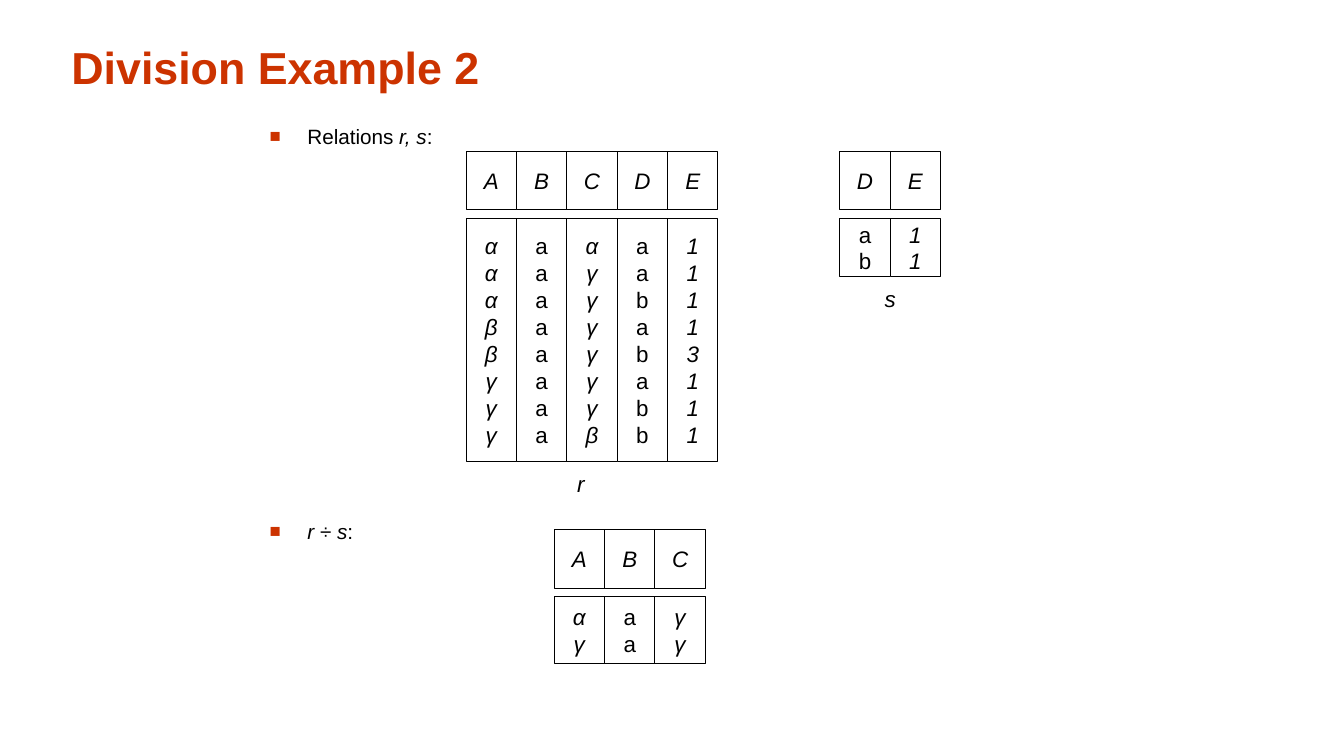
from lxml import etree
from pptx import Presentation, util as u
from pptx.dml.color import RGBColor
from pptx.enum import shapes, text
from pptx.oxml import ns

TITLE = "Division Example 2"
BULLETS = [
    (6.55, 3.0, 5.92, [("Relations ", False), ("r, s", True), (":", False)]),
    (6.55, 12.95, 3.61, [("r ", True), ("÷ ", False), ("s", True), (":", False)]),
]
RELATIONS = [
    {"left": 11.75, "top": 3.81, "body": 6.14,
     "columns": {"A": "αααββγγγ", "B": "aaaaaaaa", "C": "αγγγγγγβ",
                 "D": "aabababb", "E": "11113111"}},
    {"left": 21.17, "top": 3.81, "body": 1.48, "columns": {"D": "ab", "E": "11"}},
    {"left": 13.97, "top": 13.34, "body": 1.69,
     "columns": {"A": "αγ", "B": "aa", "C": "γγ"}},
]
CAPTIONS = [("r", 14.3, 11.71, 0.69), ("s", 22.05, 7.06, 0.79)]

RED, BLACK, WHITE = "CC3300", "000000", "FFFFFF"
COLUMN, HEADER, BODY_OFFSET = 1.27, 1.48, 1.69
FRAME = {"margin_left": u.Inches(0.1), "margin_right": u.Inches(0.1),
         "margin_top": u.Inches(0.05), "margin_bottom": u.Inches(0.05)}
CENTERED = {"word_wrap": False, "vertical_anchor": text.MSO_ANCHOR.MIDDLE}


def color(value):
    """Turn a hex string into a colour."""
    return RGBColor.from_string(value)


def assign(obj, values):
    """Set every attribute named in values on obj."""
    for name, value in values.items():
        setattr(obj, name, value)


def write(sp, paragraphs, size, frame, align=text.PP_ALIGN.LEFT, fill=BLACK, bold=False):
    """Fill a shape with paragraphs, each a list of (text, italic) runs."""
    tf = sp.text_frame
    assign(tf, {**FRAME, **frame})
    for i, runs in enumerate(paragraphs):
        p = tf.add_paragraph() if i else tf.paragraphs[0]
        p.alignment = align
        for words, italic in runs:
            r = p.add_run()
            r.text = words
            assign(r.font, {"name": "Arial", "size": u.Pt(size),
                            "bold": bold, "italic": italic})
            r.font.color.rgb = color(fill)
    return tf


def add_text(s, left, top, width, height, *args, **kwargs):
    """Add a text box, with lengths in centimetres."""
    sp = s.shapes.add_textbox(*map(u.Cm, (left, top, width, height)))
    return write(sp, *args, **kwargs)


def add_bullet(p):
    """Give a paragraph a red square bullet with a hanging indent."""
    pPr = p._p.get_or_add_pPr()
    pPr.set("marL", str(u.Cm(0.95)))
    pPr.set("indent", str(-u.Cm(0.95)))
    clr = etree.SubElement(pPr, ns.qn("a:buClr"))
    etree.SubElement(clr, ns.qn("a:srgbClr"), val=RED)
    etree.SubElement(pPr, ns.qn("a:buSzPct"), val="90000")
    etree.SubElement(pPr, ns.qn("a:buFont"), typeface="Arial")
    etree.SubElement(pPr, ns.qn("a:buChar"), char="■")


def add_cell(s, left, top, height, values):
    """Add one outlined column cell with a line for each value."""
    sp = s.shapes.add_shape(shapes.MSO_SHAPE.RECTANGLE,
                            *map(u.Cm, (left, top, COLUMN, height)))
    sp.shadow.inherit = False
    sp.fill.solid()
    sp.fill.fore_color.rgb = color(WHITE)
    sp.line.color.rgb = color(BLACK)
    sp.line.width = u.Pt(0.75)
    lines = [[(value, value not in "ab")] for value in values]
    write(sp, lines, 16, CENTERED, text.PP_ALIGN.CENTER)


def add_relation(s, left, top, body, columns):
    """Add a relation: header cells above body cells."""
    for i, (name, values) in enumerate(columns.items()):
        x = left + i * COLUMN
        add_cell(s, x, top, HEADER, name)
        add_cell(s, x, top + BODY_OFFSET, body, values)


def main():
    """Build the slide and save it."""
    prs = Presentation()
    assign(prs, {"slide_width": u.Cm(33.88), "slide_height": u.Cm(19.05)})
    s = prs.slides.add_slide(prs.slide_layouts[6])
    add_text(s, 1.55, 0.79, 10.95, 1.7, [[(TITLE, False)]], 32,
             {"word_wrap": True, "vertical_anchor": text.MSO_ANCHOR.BOTTOM},
             fill=RED, bold=True)
    for left, top, width, runs in BULLETS:
        tf = add_text(s, left, top, width, 0.91, [runs], 14.8, {"word_wrap": True})
        add_bullet(tf.paragraphs[0])
    for relation in RELATIONS:
        add_relation(s, **relation)
    for name, left, top, width in CAPTIONS:
        add_text(s, left, top, width, 0.94, [[(name, True)]], 16, CENTERED,
                 text.PP_ALIGN.CENTER)
    prs.save("out.pptx")


if __name__ == "__main__":
    main()
